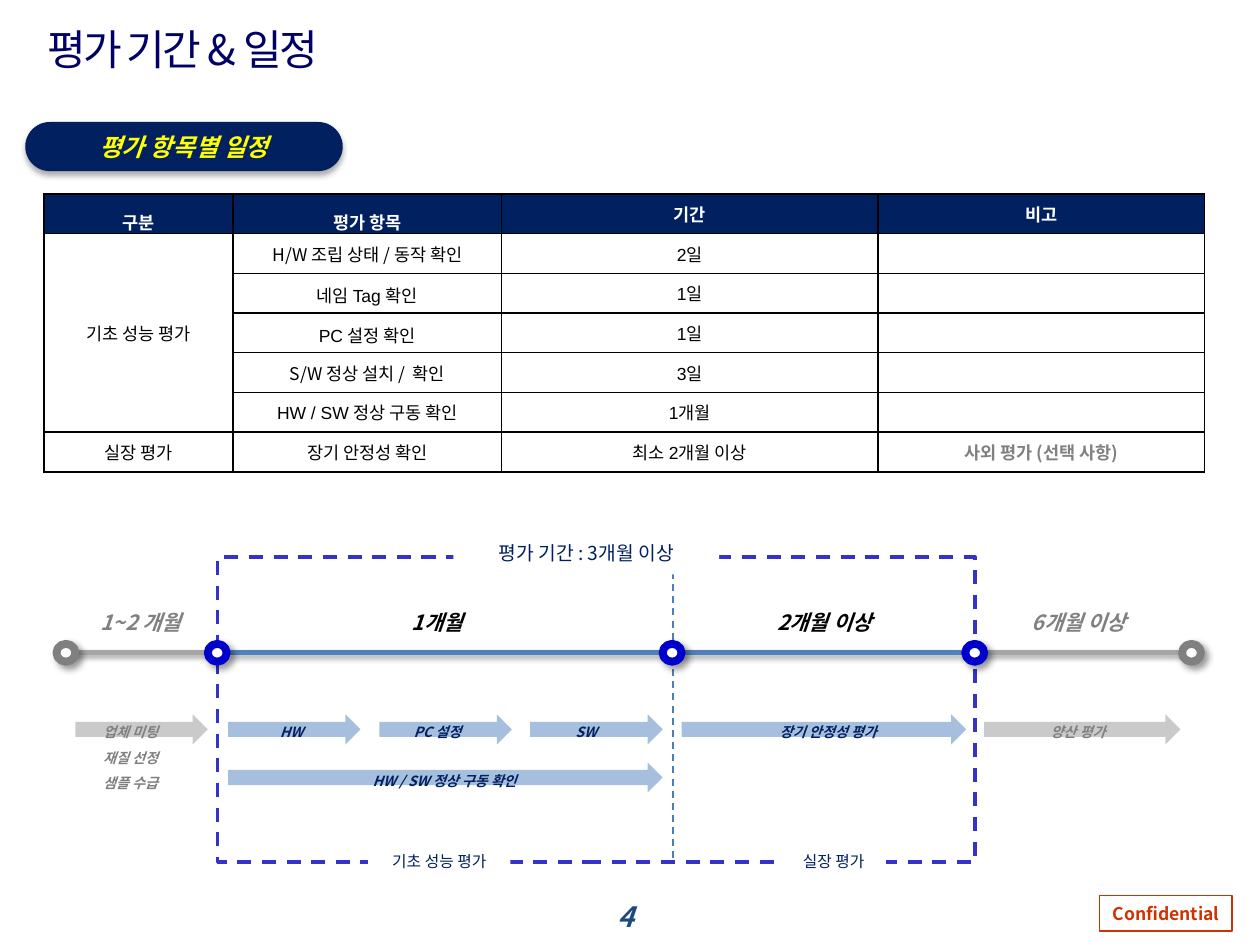
from dataclasses import dataclass, field

from lxml import etree
from pptx import Presentation
from pptx import util as u
from pptx.dml import color as dml
from pptx.enum import dml as line_styles
from pptx.enum import shapes, text
from pptx.oxml import ns

SANS = "Noto Sans CJK KR"
NAVY, GRAY, WHITE, BLACK = "002060", "808080", "FFFFFF", "000000"
BLUE, PALE, RING = "4F81BD", "969696", "0000CC"
CENTER, LEFT = text.PP_ALIGN.CENTER, text.PP_ALIGN.LEFT
MIDDLE, TOP = text.MSO_ANCHOR.MIDDLE, text.MSO_ANCHOR.TOP
DASH = line_styles.MSO_LINE.DASH
SHAPE = shapes.MSO_SHAPE
AXIS_Y = 13.16


@dataclass
class Style:
    size: float
    color: str
    font: dict = field(default_factory=dict)
    align: int = CENTER
    spacing: float = 1.0
    face: str = SANS


@dataclass
class Shadow:
    alpha: int
    blur: float
    distance: float
    angle: int


@dataclass
class Task:
    label: str
    left: float
    width: float
    label_left: float
    label_width: float
    top: float = 14.4
    fill: str = BLUE
    color: str = NAVY
    align: int = CENTER


@dataclass
class Phase:
    label: str
    left: float
    width: float
    color: str
    align: int = LEFT


BOLD_ITALIC = {"bold": True, "italic": True}
BADGE_SHADOW = Shadow(32, 3.5, 2.2, 90)
AXIS_SHADOW = Shadow(35, 3.1, 1.8, 90)
RING_SHADOW = Shadow(40, 4, 3, 45)


def add_xml(parent, tag: str, **attributes):
    return etree.SubElement(parent, ns.qn(tag), {k: str(v) for k, v in attributes.items()})


def paint(target, hex_color: str) -> None:
    if hasattr(target, "solid"):
        target.solid()
        target = target.fore_color
    target.rgb = dml.RGBColor.from_string(hex_color)


def cast_shadow(effects, shadow: Shadow) -> None:
    outer = add_xml(effects, "a:outerShdw", blurRad=u.Pt(shadow.blur), dist=u.Pt(shadow.distance),
                    dir=shadow.angle * 60000, algn="ctr", rotWithShape=0)
    add_xml(add_xml(outer, "a:srgbClr", val=BLACK), "a:alpha", val=shadow.alpha * 1000)


def write(frame, lines: str, style: Style) -> None:
    for index, line in enumerate(lines.split("\n")):
        paragraph = frame.add_paragraph() if index else frame.paragraphs[0]
        paragraph.alignment = style.align
        paragraph.line_spacing = style.spacing
        run = paragraph.add_run()
        run.text = line
        for name, value in {"size": u.Pt(style.size), "name": style.face, **style.font}.items():
            setattr(run.font, name, value)
        paint(run.font.color, style.color)
        add_xml(run.font._element, "a:ea", typeface=SANS)


def add_label(slide, box: tuple, lines: str, style: Style, anchor=TOP, wrap=True):
    label = slide.shapes.add_textbox(*map(u.Cm, box))
    label.text_frame.word_wrap = wrap
    label.text_frame.vertical_anchor = anchor
    write(label.text_frame, lines, style)
    return label


def add_block(slide, kind, box: tuple, fill=None, line=None, width=1.0, shadow=None, alpha=None):
    block = slide.shapes.add_shape(kind, *map(u.Cm, box))
    if fill:
        paint(block.fill, fill)
    else:
        block.fill.background()
    if alpha:
        add_xml(block.fill._xPr.find(".//" + ns.qn("a:srgbClr")), "a:alpha", val=alpha * 1000)
    if line:
        paint(block.line.fill, line)
        block.line.width = u.Pt(width)
    else:
        block.line.fill.background()
    block.shadow.inherit = False
    if shadow:
        cast_shadow(block._element.spPr.find(ns.qn("a:effectLst")), shadow)
    return block


def add_line(slide, ends: tuple, color: str, width: float, dash=None, shadow=None) -> None:
    line = slide.shapes.add_connector(shapes.MSO_CONNECTOR.STRAIGHT, *map(u.Cm, ends))
    paint(line.line.fill, color)
    line.line.width = u.Pt(width)
    if dash:
        line.line.dash_style = dash
    effects = add_xml(line._element.spPr, "a:effectLst")
    if shadow:
        cast_shadow(effects, shadow)


def add_schedule(slide) -> None:
    rows = [
        ("구분", "평가 항목", "기간", "비고"),
        ("기초 성능 평가", "H/W 조립 상태 / 동작 확인", "2일", ""),
        ("", "네임 Tag 확인", "1일", ""),
        ("", "PC 설정 확인", "1일", ""),
        ("", "S/W 정상 설치 /  확인", "3일", ""),
        ("", "HW / SW 정상 구동 확인", "1개월", ""),
        ("실장 평가", "장기 안정성 확인", "최소 2개월 이상", "사외 평가 (선택 사항)"),
    ]
    arial_cells = {(0, 0), (0, 1), (2, 1), (3, 1), (5, 1)} | {(r, 2) for r in range(1, 7)}
    spacings = {(0, 0): 1.5, (0, 1): 1.5, (2, 1): 1.15, (3, 1): 1.15}
    table = slide.shapes.add_table(7, 4, *map(u.Cm, (0.89, 3.91, 23.39, 5.6))).table
    table.first_row = table.horz_banding = False
    for column, width in zip(table.columns, (3.81, 5.41, 7.59, 6.58)):
        column.width = u.Cm(width)
    for r, row in enumerate(rows):
        table.rows[r].height = u.Cm(0.8)
        for c, words in enumerate(row):
            cell = table.cell(r, c)
            side, edge = (0.18, 0.05) if (r, c) in ((0, 0), (0, 1)) else (0, 0)
            margins = {"margin_left": side, "margin_right": side,
                       "margin_top": edge, "margin_bottom": edge}
            for name, value in margins.items():
                setattr(cell, name, u.Cm(value))
            cell.vertical_anchor = MIDDLE
            for tag in ("a:lnL", "a:lnR", "a:lnT", "a:lnB"):
                border = add_xml(cell._tc.tcPr, tag, w=u.Pt(1))
                add_xml(add_xml(border, "a:solidFill"), "a:srgbClr", val=BLACK)
            paint(cell.fill, NAVY if r == 0 else WHITE)
            remark = (r, c) == (6, 3)
            color = WHITE if r == 0 else GRAY if remark else BLACK
            if words:
                write(cell.text_frame, words,
                      Style(10, color, {"bold": r == 0 or remark},
                            spacing=spacings.get((r, c), 1.0),
                            face="Arial" if (r, c) in arial_cells else SANS))
            else:
                add_xml(cell.text_frame.paragraphs[0]._p, "a:endParaRPr", sz=1000)
    table.cell(1, 0).merge(table.cell(5, 0))


def add_timeline(slide) -> None:
    add_line(slide, (13.56, 11.53, 13.56, 17.32), "4B7EBC", 1, DASH)
    period = add_block(slide, SHAPE.RECTANGLE, (4.39, 11.23, 15.27, 6.15), line="3333CC", width=2)
    period.line.dash_style = DASH
    for start, end, color in ((19.66, 23.83, "A6A6A6"), (1.4, 4.39, "A6A6A6"), (4.6, 19.84, BLUE)):
        add_line(slide, (start, AXIS_Y, end, AXIS_Y), color, 3, shadow=AXIS_SHADOW)
    for left, color in ((1.14, GRAY), (23.83, GRAY), (13.36, RING), (4.19, RING), (19.46, RING)):
        add_block(slide, SHAPE.OVAL, (left, AXIS_Y - 0.18, 0.38, 0.36), WHITE, color, 4.5, RING_SHADOW)
    phases = [
        Phase("1~2 개월", 1.5, 2.67, GRAY, CENTER),
        Phase("1개월", 8.05, 1.8, BLACK),
        Phase("2개월 이상", 15.42, 3.15, BLACK),
        Phase("6개월 이상", 20.55, 2.69, GRAY),
    ]
    for phase in phases:
        add_label(slide, (phase.left, 12.17, phase.width, 0.76), phase.label,
                  Style(12, phase.color, BOLD_ITALIC, phase.align))
    tasks = [
        Task("업체 미팅\n재질 선정\n샘플 수급", 1.52, 2.67, 1.83, 1.8, fill=PALE, color=GRAY, align=LEFT),
        Task("HW", 4.6, 2.67, 4.98, 1.8),
        Task("PC 설정", 7.65, 2.67, 7.92, 1.8),
        Task("SW", 10.69, 2.67, 10.92, 1.8),
        Task("장기 안정성 평가", 13.74, 5.74, 15.29, 2.82),
        Task("양산 평가", 19.84, 3.96, 20.93, 1.8, fill=PALE, color=GRAY, align=LEFT),
        Task("HW / SW 정상 구동 확인", 4.6, 8.76, 6.63, 4.67, top=15.37),
    ]
    for task in tasks:
        add_block(slide, SHAPE.RIGHT_ARROW, (task.left, task.top, task.width, 0.61), task.fill, alpha=50)
        height = 0.71 + 0.55 * task.label.count("\n")
        add_label(slide, (task.label_left, task.top - 0.1, task.label_width, height), task.label,
                  Style(8, task.color, BOLD_ITALIC, task.align, 1.5))
    captions = [
        ("평가 기간 : 3개월 이상", (9.14, 10.72, 5.36, 0.86), 11),
        ("기초 성능 평가", (7.42, 16.94, 2.87, 0.86), 9),
        ("실장 평가", (15.75, 16.94, 2.11, 0.86), 9),
    ]
    for words, box, size in captions:
        caption = add_block(slide, SHAPE.RECTANGLE, box, WHITE)
        write(caption.text_frame, words, Style(size, NAVY))


def main() -> None:
    deck = Presentation()
    deck.slide_width, deck.slide_height = u.Cm(25.4), u.Cm(19.05)
    slide = deck.slides.add_slide(deck.slide_layouts[6])
    add_label(slide, (12.01, 18.01, 1.22, 0.94), "4", Style(16, "1F497D", BOLD_ITALIC), wrap=False)
    stamp = add_block(slide, SHAPE.RECTANGLE, (22.17, 18.06, 2.67, 0.71), WHITE, "CC3300", 0.75)
    stamp.text_frame.word_wrap = False
    write(stamp.text_frame, "Confidential", Style(10, "CC3300", {"bold": True}))
    add_schedule(slide)
    badge = add_block(slide, SHAPE.ROUNDED_RECTANGLE, (0.51, 2.46, 6.4, 0.99), NAVY, shadow=BADGE_SHADOW)
    badge.adjustments[0] = 0.5
    write(badge.text_frame, "평가 항목별 일정", Style(14, "FFFF00", BOLD_ITALIC))
    add_timeline(slide)
    title = add_label(slide, (0.71, 0.05, 22.2, 1.88), "평가 기간 & 일정",
                      Style(24, "000066", align=LEFT), MIDDLE)
    title.text_frame.paragraphs[0].runs[0].font._element.set("spc", "-150")
    deck.save("out.pptx")


if __name__ == "__main__":
    main()
